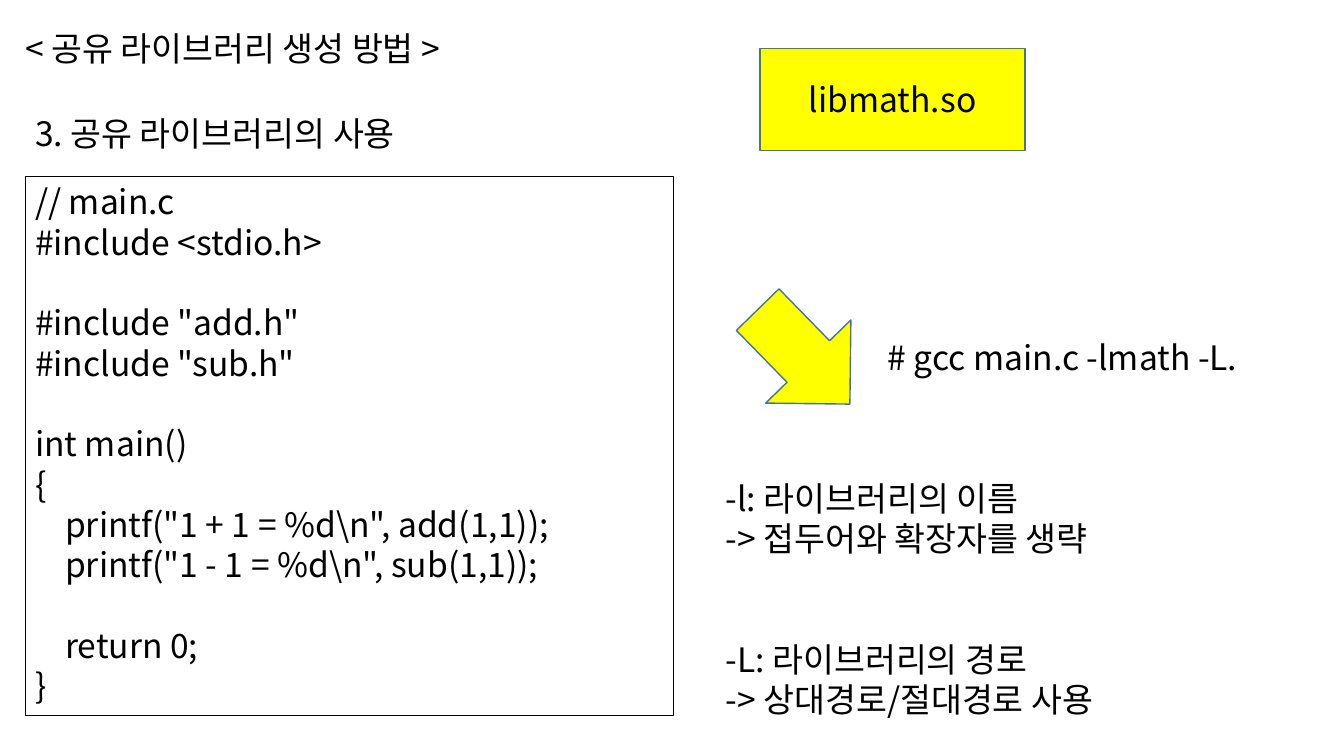
from dataclasses import dataclass

from lxml.etree import SubElement
from pptx import Presentation
from pptx.dml.color import RGBColor
from pptx.enum.shapes import MSO_SHAPE as Preset
from pptx.enum.text import MSO_ANCHOR as Anchor, PP_ALIGN as Align
from pptx.oxml.ns import qn
from pptx.util import Pt


@dataclass(frozen=True)
class Theme:
    """Colours, font and type sizes of the slide."""
    font: str = "Noto Sans CJK KR"
    size: float = 24
    line_height: float = 28.8
    code_indent: float = 21.5
    ink: str = "000000"
    highlight: str = "FFFF00"
    outline: str = "43739E"


class SlideBuilder:
    """Draws styled elements on the current slide."""

    def __init__(self, slide, theme):
        """Keep the slide and its theme."""
        self.slide = slide
        self.theme = theme

    def fill_text(self, shape, blocks, align=Align.LEFT, anchor=Anchor.TOP):
        """Set blocks of lines, each block set off by its gap in lines."""
        theme = self.theme
        frame = shape.text_frame
        frame.word_wrap = True
        frame.vertical_anchor = anchor
        paragraph = None
        for gap, lines in blocks:
            for number, (level, text) in enumerate(lines):
                paragraph = frame.paragraphs[0] if paragraph is None else frame.add_paragraph()
                paragraph.alignment = align
                paragraph.line_spacing = Pt(theme.line_height)
                paragraph.space_before = Pt(0 if number else gap * theme.line_height)
                if level:
                    properties = paragraph._p.get_or_add_pPr()
                    properties.set("marL", str(Pt(level * theme.code_indent)))
                run = paragraph.add_run()
                run.text = text
                run.font.name = theme.font
                run.font.size = Pt(theme.size)
                run.font.color.rgb = RGBColor.from_string(theme.ink)
                SubElement(run._r.get_or_add_rPr(), qn("a:ea"), typeface=theme.font)

    def text(self, box, *blocks):
        """Add a text box."""
        self.fill_text(self.slide.shapes.add_textbox(*map(Pt, box)), blocks)

    def shape(self, preset, box, fill=None, line=None, width=1, rotation=0):
        """Add a preset shape and return it."""
        shape = self.slide.shapes.add_shape(preset, *map(Pt, box))
        shape.shadow.inherit = False
        shape.rotation = rotation
        if fill:
            shape.fill.solid()
            shape.fill.fore_color.rgb = RGBColor.from_string(fill)
        else:
            shape.fill.background()
        shape.line.color.rgb = RGBColor.from_string(line or self.theme.outline)
        shape.line.width = Pt(width)
        return shape

    def code(self, box, *blocks):
        """Add a framed code listing."""
        frame = self.shape(Preset.RECTANGLE, box, line=self.theme.ink, width=0.75)
        self.fill_text(frame, blocks)

    def label(self, box, text):
        """Add a highlighted rectangle with centred text."""
        shape = self.shape(Preset.RECTANGLE, box, self.theme.highlight)
        self.fill_text(shape, [(0, [(0, text)])], Align.CENTER, Anchor.MIDDLE)

    def arrow(self, box, rotation):
        """Add a highlighted block arrow."""
        self.shape(Preset.RIGHT_ARROW, box, self.theme.highlight, rotation=rotation)


def main():
    """Build the slide and save it."""
    presentation = Presentation()
    presentation.slide_width, presentation.slide_height = Pt(960), Pt(540)
    slide = presentation.slides.add_slide(presentation.slide_layouts[6])
    builder = SlideBuilder(slide, Theme())

    builder.text((10.8, 16.6, 365.8, 36), (0, [(0, "< 공유 라이브러리 생성 방법 >")]))
    builder.text((18, 77, 317.5, 36), (0, [(0, "3. 공유 라이브러리의 사용")]))
    builder.code(
        (18, 126, 463, 385),
        (0, [(0, "// main.c"), (0, "#include <stdio.h>")]),
        (1, [(0, '#include "add.h"'), (0, '#include "sub.h"')]),
        (1, [(0, "int main()"), (0, "{"),
             (1, r'printf("1 + 1 = %d\n", add(1,1));'),
             (1, r'printf("1 - 1 = %d\n", sub(1,1));')]),
        (1, [(1, "return 0;"), (0, "}")]),
    )
    builder.label((542.9, 34.6, 189.4, 72.7), "libmath.so")
    builder.arrow((527, 212.4, 94.3, 85), 45.7)
    builder.text((627.1, 236.9, 293, 36), (0, [(0, "# gcc main.c -lmath -L.")]))
    builder.text(
        (511.2, 337.7, 317.5, 181.4),
        (0, [(0, "-l: 라이브러리의 이름"), (0, "-> 접두어와 확장자를 생략")]),
        (2, [(0, "-L: 라이브러리의 경로"), (0, "-> 상대경로/절대경로 사용")]),
    )
    presentation.save("out.pptx")


if __name__ == "__main__":
    main()
